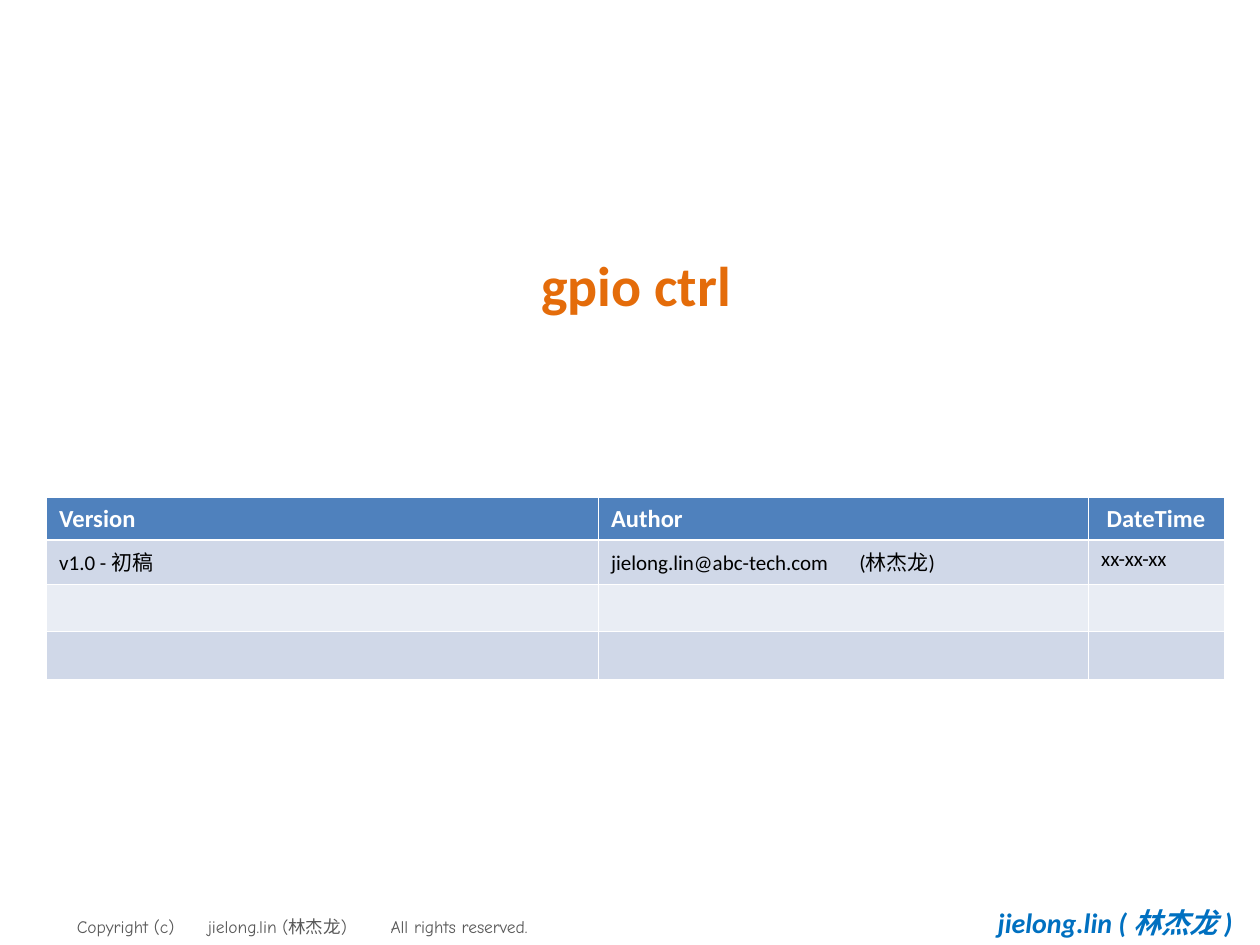
from pptx import Presentation
from pptx.dml.color import RGBColor
from pptx.enum.text import MSO_ANCHOR as Anchor, PP_ALIGN as Align
from pptx.oxml.ns import qn
from pptx.oxml.xmlchemy import OxmlElement
from pptx.util import Inches, Pt

COLORS = {
    "white": "FFFFFF", "black": "000000", "title": "E46C0A", "header": "4F81BD",
    "band_dark": "D0D8E8", "band_light": "E9EDF4", "copyright": "595959", "owner": "0070C0",
}
CJK_FONT = "Noto Sans CJK SC"

TITLE = "gpio ctrl"
COPYRIGHT = "Copyright (c)\tjielong.lin (林杰龙)\tAll rights reserved."
OWNER = "jielong.lin ( 林杰龙 )"
REVISIONS = [
    ("Version", "Author", " DateTime"),
    ("v1.0 - 初稿", "jielong.lin@abc-tech.com\t(林杰龙)", "xx-xx-xx"),
    ("", "", ""),
    ("", "", ""),
]
COLUMN_WIDTHS = [4.38, 3.89, 1.08]
ROW_HEIGHTS = [0.33, 0.35, 0.38, 0.38]
ROW_FILLS = ["header", "band_dark", "band_light", "band_dark"]
THIN, THICK = 0.45, 1.47


def rgb(name):
    return RGBColor.from_string(COLORS[name])


def write(frame, text, size, color, bold=False, italic=False, font="Calibri",
          align=Align.LEFT, tabs=()):
    """Fill a text frame with one styled paragraph; tabs are in inches."""
    frame.word_wrap = True
    para = frame.paragraphs[0]
    para.text = text
    para.alignment = align
    style = para.font
    style.name, style.size, style.bold, style.italic = font, Pt(size), bold, italic
    style.color.rgb = rgb(color)
    properties = para._p.pPr
    east_asian = OxmlElement("a:ea")
    east_asian.set("typeface", CJK_FONT)
    properties.find(qn("a:defRPr")).append(east_asian)
    if tabs:
        tab_list = OxmlElement("a:tabLst")
        for position in tabs:
            tab = OxmlElement("a:tab")
            tab.set("pos", str(Inches(position)))
            tab.set("algn", "l")
            tab_list.append(tab)
        properties.insert(0, tab_list)


def add_text(page, box, text, size, color, anchor=Anchor.TOP, left_inset=0.1, **style):
    frame = page.shapes.add_textbox(*map(Inches, box)).text_frame
    frame.vertical_anchor = anchor
    frame.margin_left = Inches(left_inset)
    frame.margin_right = 0 if style.get("align") is None else Inches(0.1)
    write(frame, text, size, color, **style)


def set_borders(cell, top, bottom):
    properties = cell._tc.get_or_add_tcPr()
    sides = {"L": THIN, "R": THIN, "T": top, "B": bottom}
    for index, (side, width) in enumerate(sides.items()):
        line = OxmlElement(f"a:ln{side}")
        line.set("w", str(Pt(width)))
        fill = OxmlElement("a:solidFill")
        color = OxmlElement("a:srgbClr")
        color.set("val", COLORS["white"])
        fill.append(color)
        line.append(fill)
        properties.insert(index, line)


def add_revisions(page):
    table = page.shapes.add_table(
        len(REVISIONS), len(COLUMN_WIDTHS), Inches(0.37), Inches(3.95),
        Inches(sum(COLUMN_WIDTHS)), Inches(sum(ROW_HEIGHTS))).table
    for column, width in zip(table.columns, COLUMN_WIDTHS):
        column.width = Inches(width)
    for index, values in enumerate(REVISIONS):
        table.rows[index].height = Inches(ROW_HEIGHTS[index])
        header = index == 0
        for cell, value in zip(table.rows[index].cells, values):
            cell.fill.solid()
            cell.fill.fore_color.rgb = rgb(ROW_FILLS[index])
            write(cell.text_frame, value, 14 if header else 12,
                  "white" if header else "black", bold=header,
                  tabs=(1.97,) if "\t" in value else ())
            set_borders(cell, THICK if index == 1 else THIN, THICK if header else THIN)


def main():
    deck = Presentation()
    deck.slide_width, deck.slide_height = Inches(10), Inches(7.5)
    page = deck.slides.add_slide(deck.slide_layouts[6])
    add_text(page, (0, 7.22, 4.84, 0.27), COPYRIGHT, 10, "copyright",
             left_inset=0.61, font="Comic Neue", tabs=(1.04, 2.49))
    add_text(page, (7.82, 7, 2.2, 0.64), OWNER, 16, "owner",
             anchor=Anchor.MIDDLE, bold=True, italic=True)
    add_text(page, (0.55, 1.94, 9, 1.22), TITLE, 32, "title",
             bold=True, align=Align.CENTER)
    add_revisions(page)
    deck.save("out.pptx")


if __name__ == "__main__":
    main()
